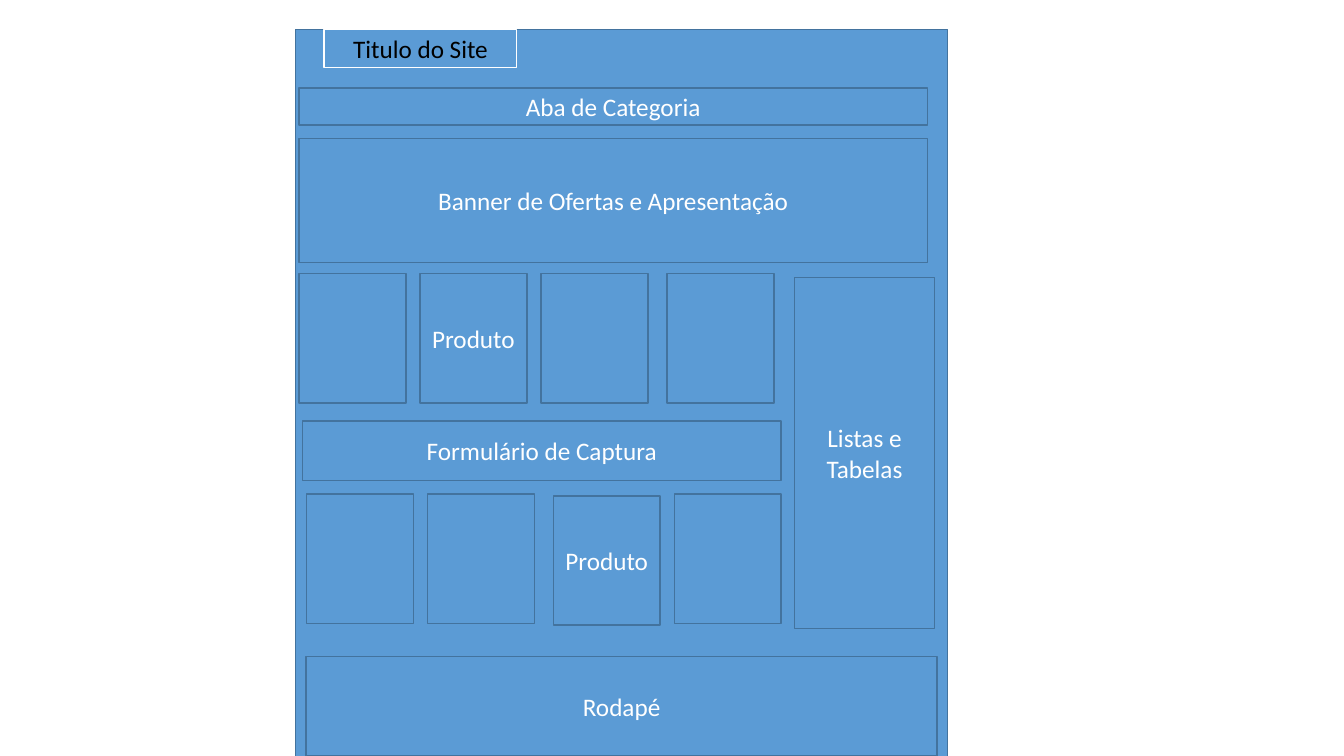
from pptx import Presentation
from pptx.dml.color import RGBColor
from pptx.enum.shapes import MSO_SHAPE as Shape
from pptx.enum.text import MSO_ANCHOR as Anchor, PP_ALIGN as Align
from pptx.util import Pt

THEME = {
    "fill": RGBColor.from_string("5B9BD5"),
    "outline": RGBColor.from_string("43739E"),
    "light": RGBColor.from_string("FFFFFF"),
    "dark": RGBColor.from_string("000000"),
    "font": "Calibri",
    "size": Pt(18),
    "line": Pt(1),
}

presentation = Presentation()
presentation.slide_width, presentation.slide_height = Pt(960), Pt(540)
slide = presentation.slides.add_slide(presentation.slide_layouts[6])


def add_block(left, top, width, height, text="", outline="outline", color="light"):
    shape = slide.shapes.add_shape(
        Shape.RECTANGLE, Pt(left), Pt(top), Pt(width), Pt(height))
    shape.shadow.inherit = False
    shape.fill.solid()
    shape.fill.fore_color.rgb = THEME["fill"]
    shape.line.color.rgb = THEME[outline]
    shape.line.width = THEME["line"]
    if text:
        text_frame = shape.text_frame
        text_frame.text = text
        text_frame.word_wrap = True
        text_frame.vertical_anchor = Anchor.MIDDLE
        paragraph = text_frame.paragraphs[0]
        paragraph.alignment = Align.CENTER
        font = paragraph.runs[0].font
        font.name, font.size = THEME["font"], THEME["size"]
        font.color.rgb = THEME[color]


# Page and site title
add_block(211, 21, 466, 525.6)
add_block(231.6, 21, 137.6, 27.4, "Titulo do Site", outline="light", color="dark")

# Category tab and banner
content_left, content_width = 213.6, 448.8
add_block(content_left, 63, content_width, 26.2, "Aba de Categoria")
add_block(content_left, 99, content_width, 88.6, "Banner de Ofertas e Apresentação")

# Product cards: each row has one wider gap, and one labelled card
card_width, card_height = 76.4, 92.4
narrow_gap, wide_gap = 10, 13.6
product_rows = [
    # left, top, label column, label drop, column after the wide gap
    (content_left, 195.6, 1, 0, 3),
    (218.8, 353, 2, 1.2, 2),
]
for left, top, label_column, label_drop, wide_column in product_rows:
    for column in range(4):
        if column:
            left += card_width + (wide_gap if column == wide_column else narrow_gap)
        labelled = column == label_column
        add_block(left, top + (label_drop if labelled else 0),
                  card_width, card_height, "Produto" if labelled else "")

# Side column, footer and capture form
add_block(567.4, 198.2, 100.2, 250.6, "Listas e Tabelas")
add_block(218.6, 468.8, 450.8, 71.2, "Rodapé")
add_block(216.2, 300.8, 341.6, 42.4, "Formulário de Captura")

presentation.save("out.pptx")
